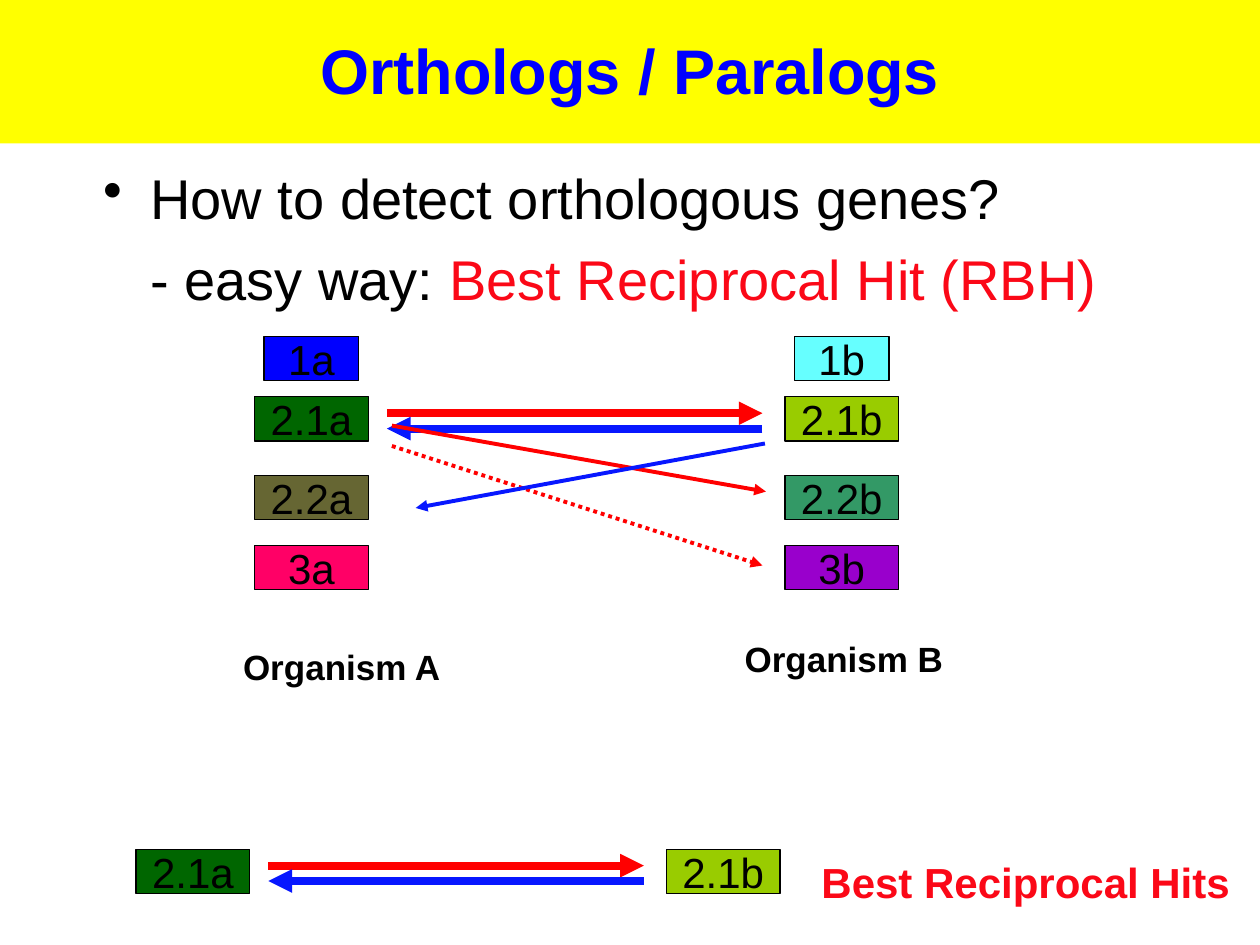
"""Build the slide on orthologs, paralogs and best reciprocal hits."""
from lxml.etree import SubElement
from pptx import Presentation
from pptx.dml.color import RGBColor
from pptx.enum.dml import MSO_LINE_DASH_STYLE as Dash
from pptx.enum.shapes import MSO_CONNECTOR as Connector, MSO_SHAPE as Shape
from pptx.enum.text import MSO_ANCHOR as Anchor, MSO_AUTO_SIZE as AutoSize, PP_ALIGN as Align
from pptx.oxml.ns import qn
from pptx.util import Cm, Pt

BLACK = RGBColor(0x00, 0x00, 0x00)
YELLOW = RGBColor(0xFF, 0xFF, 0x00)
BLUE = RGBColor(0x00, 0x00, 0xFF)
ARROW_BLUE = RGBColor(0x07, 0x17, 0xFF)
RED = RGBColor(0xFF, 0x00, 0x00)
TEXT_RED = RGBColor(0xFB, 0x08, 0x17)
DARK_GREEN = RGBColor(0x00, 0x66, 0x00)
LIME = RGBColor(0x99, 0xCC, 0x00)
OLIVE = RGBColor(0x66, 0x66, 0x33)
SEA_GREEN = RGBColor(0x33, 0x99, 0x66)
PINK = RGBColor(0xFF, 0x00, 0x66)
PURPLE = RGBColor(0x99, 0x00, 0xCC)
CYAN = RGBColor(0x66, 0xFF, 0xFF)

GENE_WIDTH, GENE_HEIGHT = 2.29, 0.89
COLUMN_GAP = 10.69


class Painter:
    """Hold the style and the current slide, and draw each kind of element."""

    font_name = "Arial"

    def __init__(self, page):
        self.page = page

    def style(self, para, size, color, bold=False):
        para.font.name = self.font_name
        para.font.size = Pt(size)
        para.font.bold = bold
        para.font.color.rgb = color

    def block(self, text, left, top, width, height, fill, size, color=BLACK, bold=False):
        box = self.page.shapes.add_shape(
            Shape.RECTANGLE, Cm(left), Cm(top), Cm(width), Cm(height))
        box.shadow.inherit = False
        box.fill.solid()
        box.fill.fore_color.rgb = fill
        box.line.fill.background()
        box.text_frame.vertical_anchor = Anchor.MIDDLE
        para = box.text_frame.paragraphs[0]
        para.text = text
        para.alignment = Align.CENTER
        self.style(para, size, color, bold)
        return box

    def gene(self, text, center, top, fill, width=GENE_WIDTH):
        box = self.block(text, center - width / 2, top, width, GENE_HEIGHT, fill, 24)
        box.line.color.rgb = BLACK
        box.line.width = Pt(0.75)
        box.text_frame.word_wrap = False

    def label(self, text, left, top, width, height, size, color=BLACK, wrap=False):
        box = self.page.shapes.add_textbox(Cm(left), Cm(top), Cm(width), Cm(height))
        box.text_frame.word_wrap = wrap
        box.text_frame.auto_size = AutoSize.SHAPE_TO_FIT_TEXT
        para = box.text_frame.paragraphs[0]
        para.text = text
        self.style(para, size, color, bold=True)

    def question(self, text, lead, answer, left, top, width, height):
        box = self.page.shapes.add_textbox(Cm(left), Cm(top), Cm(width), Cm(height))
        frame = box.text_frame
        frame.word_wrap = True
        first, second = frame.paragraphs[0], frame.add_paragraph()
        first.text = text
        for para, indent in ((first, -0.95), (second, 0)):
            props = para._p.get_or_add_pPr()
            props.set("marL", str(Cm(0.95)))
            props.set("indent", str(Cm(indent)))
        bullet = SubElement(first._p.pPr, qn("a:buChar"))
        bullet.set("char", "•")
        second.space_before = Pt(7.5)
        for words, color in ((lead, BLACK), (answer, TEXT_RED)):
            span = second.add_run()
            span.text = words
            span.font.color.rgb = color
        for para in (first, second):
            self.style(para, 32, BLACK)

    def arrow(self, start, end, color, width=2.25, dash=None):
        line = self.page.shapes.add_connector(
            Connector.STRAIGHT, *(Cm(value) for value in (*start, *end)))
        line.line.color.rgb = color
        line.line.width = Pt(width)
        if dash is not None:
            line.line.dash_style = dash
        SubElement(line.line._get_or_add_ln(), qn("a:tailEnd")).set("type", "triangle")
        SubElement(line._element.spPr, qn("a:effectLst"))

    def reciprocal_pair(self, center, top):
        self.gene("2.1a", center, top, DARK_GREEN)
        self.gene("2.1b", center + COLUMN_GAP, top, LIME)
        left, right = center + 1.52, center + 9.09
        upper, lower = top + 0.33, top + 0.64
        self.arrow((left, upper), (right, upper), RED, 4.5)
        self.arrow((right, lower), (left, lower), ARROW_BLUE, 4.5)


def main():
    deck = Presentation()
    deck.slide_width, deck.slide_height = Cm(25.4), Cm(19.05)
    painter = Painter(deck.slides.add_slide(deck.slide_layouts[6]))

    painter.block("Orthologs / Paralogs", 0, -0.08, 25.4, 2.97, YELLOW, 36, BLUE, bold=True)
    painter.question("How to detect orthologous genes?", "- easy way: ",
                     "Best Reciprocal Hit (RBH)", 1.83, 3.18, 21.97, 3.63)

    center_a = 6.28
    center_b = center_a + COLUMN_GAP
    gene_rows = (
        (6.78, 1.91, ("1a", BLUE), ("1b", CYAN)),
        (9.58, GENE_WIDTH, ("2.2a", OLIVE), ("2.2b", SEA_GREEN)),
        (11, GENE_WIDTH, ("3a", PINK), ("3b", PURPLE)),
    )
    for top, width, *genes in gene_rows:
        for center, (name, fill) in zip((center_a, center_b), genes):
            painter.gene(name, center, top, fill, width)

    painter.reciprocal_pair(center_a, 8)
    painter.arrow((7.9, 8.58), (15.44, 9.91), RED)
    painter.arrow((7.9, 8.99), (15.37, 11.4), RED, dash=Dash.ROUND_DOT)
    painter.arrow((15.42, 8.94), (8.38, 10.24), ARROW_BLUE)

    painter.label("Organism A", 4.65, 12.88, 4.52, 1.09, 20)
    painter.label("Organism B", 14.76, 12.73, 4.52, 1.09, 20)

    painter.reciprocal_pair(3.89, 17.12)
    painter.label("Best Reciprocal Hits", 16.31, 17.15, 9.53, 1.27, 24, TEXT_RED, wrap=True)

    deck.save("out.pptx")


if __name__ == "__main__":
    main()
